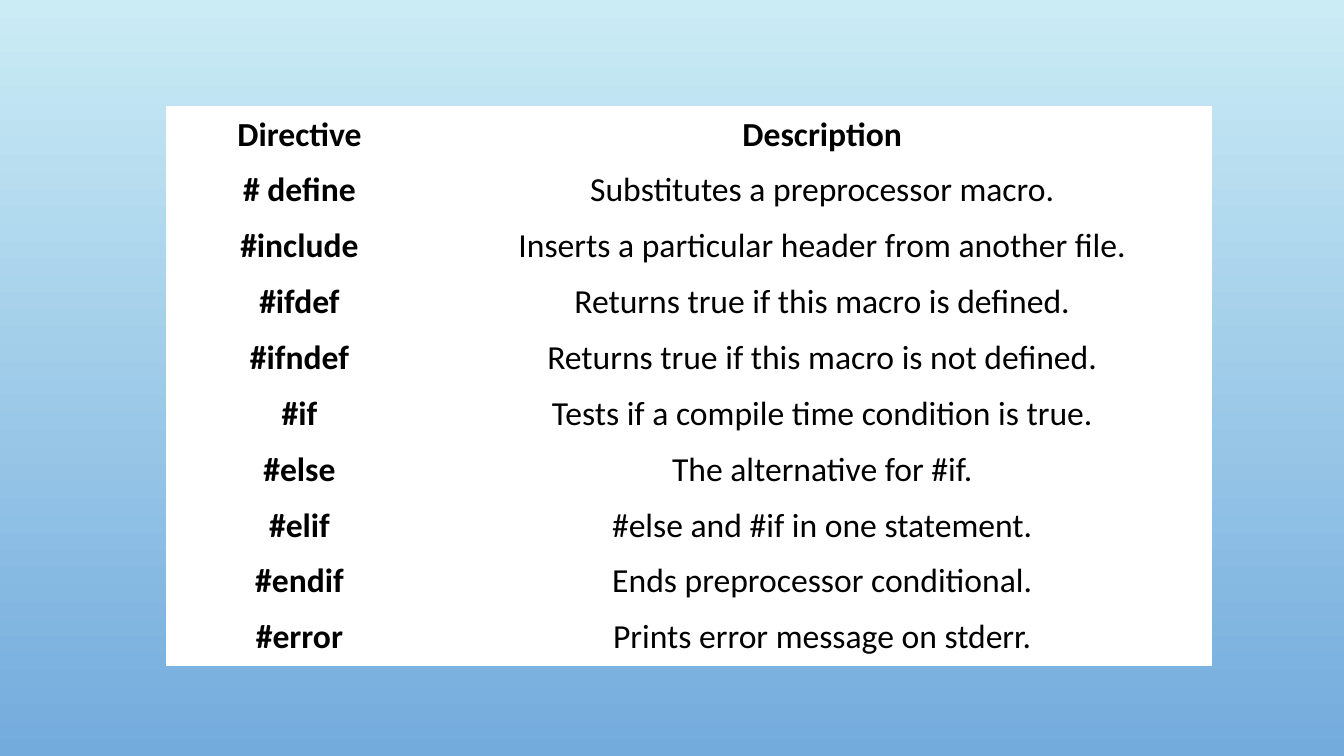
from pptx import Presentation
from pptx.dml.color import RGBColor
from pptx.enum.text import MSO_ANCHOR, PP_ALIGN
from pptx.util import Inches, Pt

COLORS = {"sky": "CBECF5", "blue": "73ABDD", "cell": "FFFFFF", "text": "000000"}

DIRECTIVES = [
    ("Directive", "Description"),
    ("# define", "Substitutes a preprocessor macro."),
    ("#include", "Inserts a particular header from another file."),
    ("#ifdef", "Returns true if this macro is defined."),
    ("#ifndef", "Returns true if this macro is not defined."),
    ("#if", "Tests if a compile time condition is true."),
    ("#else", "The alternative for #if."),
    ("#elif", "#else and #if in one statement."),
    ("#endif", "Ends preprocessor conditional."),
    ("#error", "Prints error message on stderr."),
]


class SlideBuilder:
    font_name = "Calibri"
    font_size = Pt(24)
    cell_margin = Inches(0.02)

    def __init__(self, slide):
        self.slide = slide

    def color(self, name):
        return RGBColor.from_string(COLORS[name])

    def background(self, top, bottom):
        fill = self.slide.background.fill
        fill.gradient()
        fill.gradient_angle = 270
        for stop, name in zip(fill.gradient_stops, (top, bottom)):
            stop.color.rgb = self.color(name)

    def cell(self, cell, text, bold):
        cell.fill.solid()
        cell.fill.fore_color.rgb = self.color("cell")
        cell.vertical_anchor = MSO_ANCHOR.MIDDLE
        cell.margin_left = cell.margin_right = self.cell_margin
        cell.margin_top = cell.margin_bottom = self.cell_margin
        cell.text_frame.text = text
        paragraph = cell.text_frame.paragraphs[0]
        paragraph.alignment = PP_ALIGN.CENTER
        font = paragraph.runs[0].font
        font.name, font.size, font.bold = self.font_name, self.font_size, bold
        font.color.rgb = self.color("text")

    def table(self, rows, left, top, height, widths):
        table = self.slide.shapes.add_table(
            len(rows), len(widths), Inches(left), Inches(top),
            Inches(sum(widths)), Inches(height)).table
        table.first_row = table.horz_banding = False
        for column, width in zip(table.columns, widths):
            column.width = Inches(width)
        # Header row and directive names are bold
        for r, row in enumerate(rows):
            for c, text in enumerate(row):
                self.cell(table.cell(r, c), text, bold=r == 0 or c == 0)


def main():
    presentation = Presentation()
    presentation.slide_width = Inches(13.33)
    presentation.slide_height = Inches(7.5)
    builder = SlideBuilder(presentation.slides.add_slide(presentation.slide_layouts[6]))

    # Sky gradient behind the table
    builder.background("sky", "blue")

    # Preprocessor directives
    builder.table(DIRECTIVES, left=1.65, top=1.06, height=5.54, widths=(2.64, 7.73))

    presentation.save("out.pptx")


if __name__ == "__main__":
    main()
